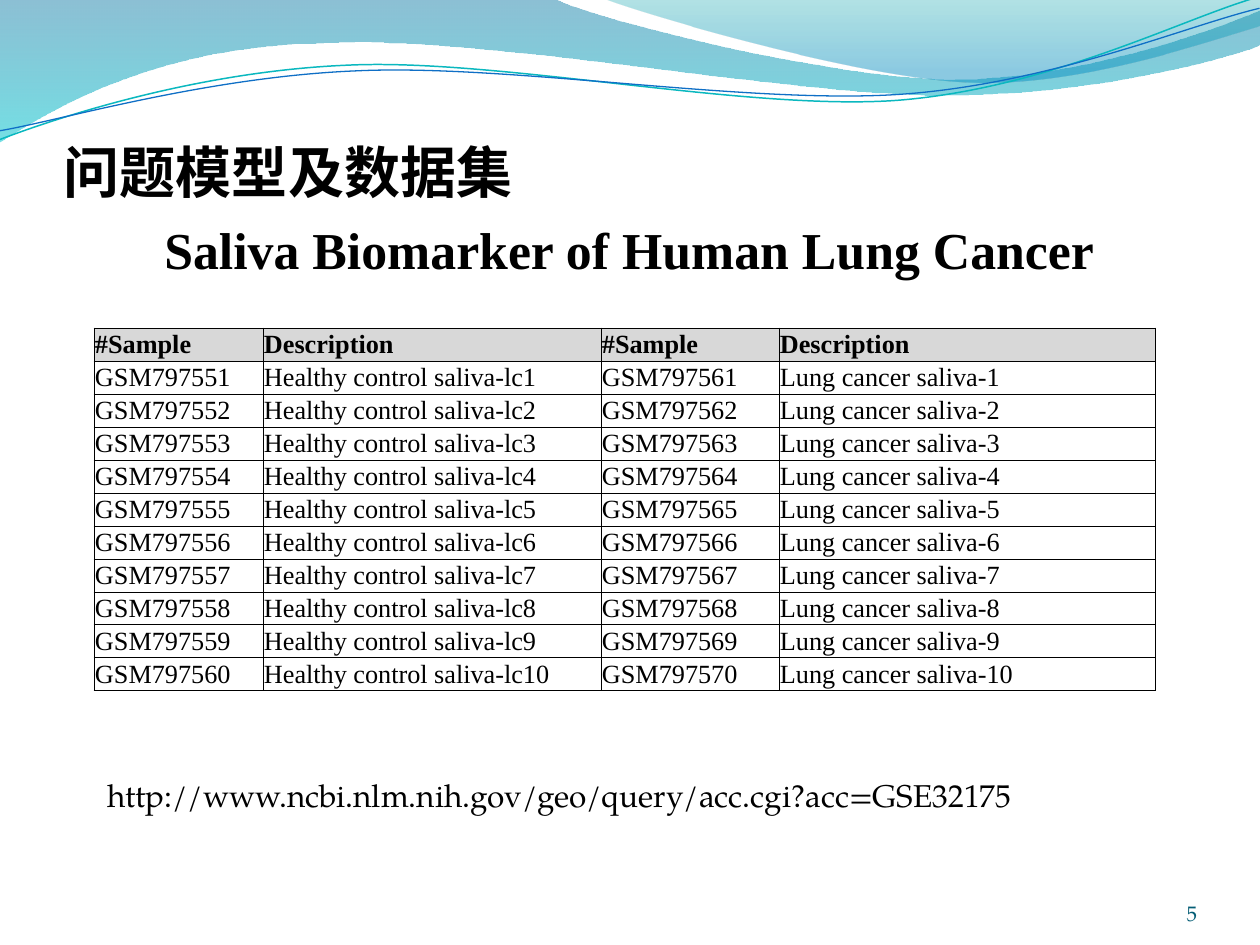
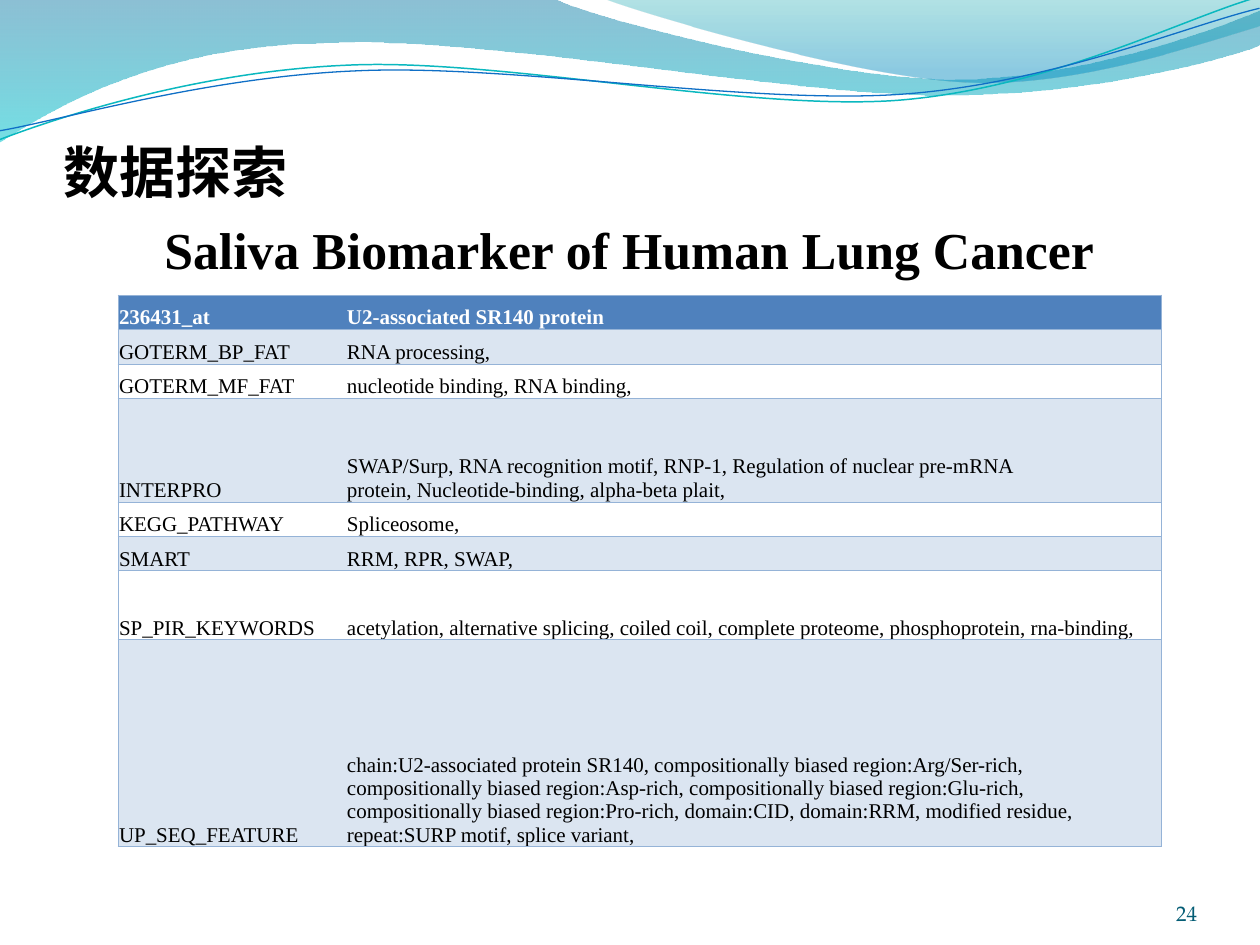
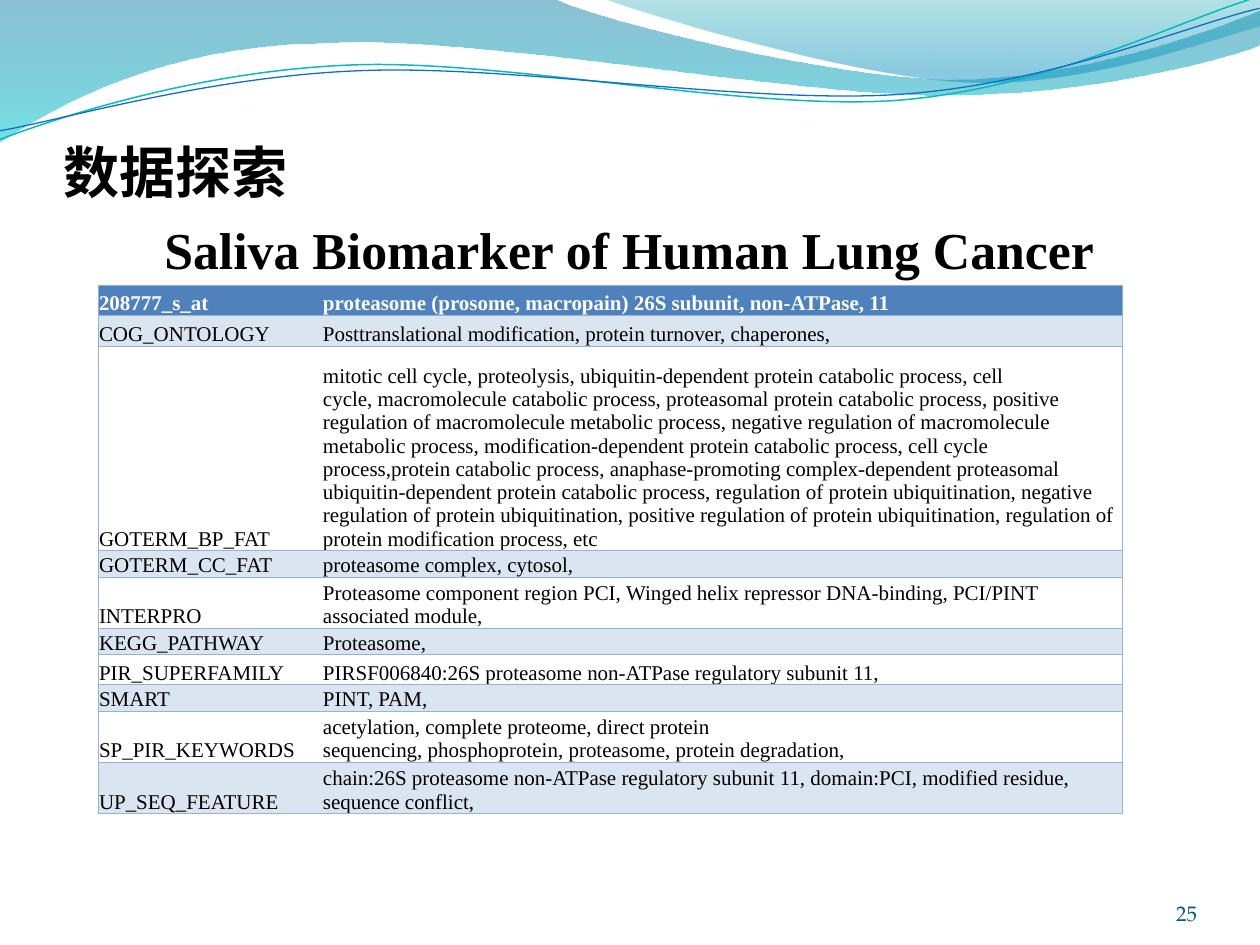
import pptx
import pptx.dml.color
import pptx.enum.text
import pptx.oxml
import pptx.oxml.ns
import pptx.util
from lxml import etree

EMU_PER_PX = 914400 / 126
WIDTH, HEIGHT = 1260, 945
SERIF, BODY = "Times New Roman", "TeX Gyre Pagella"
BLACK, WHITE, PAGE_COLOR = "000000", "FFFFFF", "045D75"
GRAY, BLUE, PALE_BLUE, BLUE_LINE = "D8D8D8", "4F81BD", "DBE5F1", "95B3D7"
ANCHOR = pptx.enum.text.MSO_ANCHOR
ALIGN = pptx.enum.text.PP_ALIGN
NBSP = chr(160)
LINE_TILT = 357.3

WAVES = [
    dict(start=(0, 0), grad=[(0, "0074A1", 45), (1, "00C6CF", 55)], parts=[
        [(554, -1)],
        [(600, 21), (837, 79), (955, 79)],
        [(1075, 79), (1207, 33), (1260, 11)],
        [(1261, 45)],
        [(1239, 55), (1096, 96), (940, 95)],
        [(784, 95), (481, 35), (324, 43)],
        [(163, 45), (58, 105), (-1, 142)]]),
    dict(start=(604, -1), grad=[(0, "00A1A9", 30), (0.8, "008BBF", 45)], parts=[
        [(641, 14), (859, 78), (969, 82)],
        [(1079, 87), (1211, 40), (1260, 26)],
        [(1260, 0)]]),
    dict(start=(-3, 110), line=("0AB8BF", 0.85), parts=[
        [(58, 90), (199, 51), (349, 52)],
        [(499, 52), (745, 117), (896, 113)],
        [(1049, 108), (1184, 45), (1260, 27)]]),
    dict(start=(-2, 101), line=("0F6FC6", 0.75), parts=[
        [(57, 94), (207, 57), (357, 58)],
        [(509, 58), (750, 111), (902, 107)],
        [(1052, 103), (1188, 52), (1262, 38)]]),
]


def px(n):
    return pptx.util.Emu(round(n * EMU_PER_PX))


def color(value):
    return pptx.dml.color.RGBColor.from_string(value)


def terms(*names):
    return ("," + NBSP).join(names)


def style(p, size, font, fg, bold=False):
    p.font.size = pptx.util.Pt(size)
    p.font.name = font
    p.font.bold = bold
    p.font.color.rgb = color(fg)


def add_text(s, box, text, size, font, fg, bold=False, align=ALIGN.LEFT,
             anchor=ANCHOR.BOTTOM, insets=(0, 6, 0, 0)):
    tf = s.shapes.add_textbox(*map(px, box)).text_frame
    tf.word_wrap = True
    tf.vertical_anchor = anchor
    tf.margin_left, tf.margin_top, tf.margin_right, tf.margin_bottom = map(px, insets)
    p = tf.paragraphs[0]
    p.text = text
    p.alignment = align
    style(p, size, font, fg, bold)


def curve_segments(sp, parts):
    segments = iter(list(sp._element.spPr.iter(pptx.oxml.ns.qn("a:lnTo"))))
    for part in parts:
        group = [next(segments) for _ in part]
        if len(group) == 3:
            curve = etree.Element(pptx.oxml.ns.qn("a:cubicBezTo"))
            group[0].addprevious(curve)
            for segment in group:
                curve.append(segment[0])
                segment.getparent().remove(segment)


def fill_gradient(sp, grad):
    sp.fill.gradient()
    sp.fill.gradient_angle = 270
    for stop, (position, value, _) in zip(sp.fill.gradient_stops, grad):
        stop.position = position
        stop.color.rgb = color(value)
    clrs = sp._element.spPr.iter(pptx.oxml.ns.qn("a:srgbClr"))
    for clr, (_, _, alpha) in zip(clrs, grad):
        etree.SubElement(clr, pptx.oxml.ns.qn("a:alpha"), val=str(alpha * 1000))


def add_waves(s):
    for wave in WAVES:
        x, y = wave["start"]
        builder = s.shapes.build_freeform(px(x), px(y), scale=1.0)
        points = [(px(x), px(y)) for part in wave["parts"] for x, y in part]
        builder.add_line_segments(points, close="grad" in wave)
        sp = builder.convert_to_shape()
        curve_segments(sp, wave["parts"])
        sp.shadow.inherit = False
        if "grad" in wave:
            fill_gradient(sp, wave["grad"])
            sp.line.fill.background()
        else:
            sp.rotation = LINE_TILT
            sp.fill.background()
            value, width = wave["line"]
            sp.line.color.rgb = color(value)
            sp.line.width = pptx.util.Pt(width)


def set_borders(cell, value, sides):
    tcPr = cell._tc.get_or_add_tcPr()
    for i, side in enumerate("LRTB"):
        ln = etree.Element(pptx.oxml.ns.qn("a:ln" + side), w="6350")
        if side in sides:
            fill = etree.SubElement(ln, pptx.oxml.ns.qn("a:solidFill"))
            etree.SubElement(fill, pptx.oxml.ns.qn("a:srgbClr"), val=value)
        else:
            etree.SubElement(ln, pptx.oxml.ns.qn("a:noFill"))
        tcPr.insert(i, ln)


def add_grid(s, left, top, cols, rows, data, size, anchor, header, band, line, inner):
    header_fill, header_fg = header
    table = s.shapes.add_table(len(rows), len(cols), px(left), px(top),
                               px(sum(cols)), px(sum(rows))).table
    table.first_row = table.horz_banding = False
    for column, width in zip(table.columns, cols):
        column.width = px(width)
    for i, (row, height, texts) in enumerate(zip(table.rows, rows, data)):
        row.height = px(height)
        fill = header_fill if i == 0 else band if i % 2 else None
        for j, (cell, text) in enumerate(zip(row.cells, texts)):
            cell.vertical_anchor = anchor
            cell.margin_left = cell.margin_top = cell.margin_right = px(1)
            cell.margin_bottom = 0
            p = cell.text_frame.paragraphs[0]
            p.text = text
            style(p, size, SERIF, BLACK if i else header_fg, i == 0)
            sides = "TB"
            if inner or j == 0:
                sides += "L"
            if inner or j == len(cols) - 1:
                sides += "R"
            set_borders(cell, line, sides)
            if fill:
                cell.fill.solid()
                cell.fill.fore_color.rgb = color(fill)
            else:
                cell.fill.background()


def add_frame(prs, title, number):
    s = prs.slides.add_slide(prs.slide_layouts[6])
    add_waves(s)
    add_text(s, (64, 98, 1134, 107), title, 32, SERIF, BLACK, True)
    add_text(s, (0, 214, WIDTH, 66), "Saliva Biomarker of Human Lung Cancer",
             29.6, SERIF, BLACK, True, ALIGN.CENTER)
    add_text(s, (1092, 876, 105, 50), str(number), 12, BODY, PAGE_COLOR,
             align=ALIGN.RIGHT, insets=(0, 0, 0, 0))
    return s


def sample_slide(prs):
    s = add_frame(prs, "问题模型及数据集", 5)
    add_text(s, (94, 770, 1052, 50), "http://www.ncbi.nlm.nih.gov/geo/query/acc.cgi?acc=GSE32175",
             18, BODY, BLACK, anchor=ANCHOR.TOP, insets=(13, 6, 13, 6))
    data = [("#Sample", "Description") * 2]
    data += [(f"GSM{797550 + n}", f"Healthy control saliva-lc{n}",
              f"GSM{797560 + n}", f"Lung cancer saliva-{n}") for n in range(1, 11)]
    add_grid(s, 94, 328, (169, 338, 178, 377), [33] * len(data), data, 15, ANCHOR.MIDDLE,
             (GRAY, BLACK), None, BLACK, True)


def probe_slide(prs, number, left, top, cols, rows, data):
    s = add_frame(prs, "数据探索", number)
    add_grid(s, left, top, cols, rows, data, 12, ANCHOR.BOTTOM,
             (BLUE, WHITE), PALE_BLUE, BLUE_LINE, False)


SR140 = [
    ("236431_at", "U2-associated SR140 protein"),
    ("GOTERM_BP_FAT", "RNA processing,"),
    ("GOTERM_MF_FAT", terms("nucleotide binding", "RNA binding,")),
    ("INTERPRO", terms("SWAP/Surp", "RNA recognition motif, RNP-1",
                       "Regulation of nuclear pre-mRNA protein",
                       "Nucleotide-binding, alpha-beta plait,")),
    ("KEGG_PATHWAY", "Spliceosome,"),
    ("SMART", terms("RRM", "RPR", "SWAP,")),
    ("SP_PIR_KEYWORDS", terms("acetylation", "alternative splicing", "coiled coil",
                              "complete proteome", "phosphoprotein", "rna-binding,")),
    ("UP_SEQ_FEATURE",
     "chain:U2-associated protein SR140, compositionally biased region:Arg/Ser-rich, "
     "compositionally biased region:Asp-rich, compositionally biased region:Glu-rich, "
     "compositionally biased region:Pro-rich, domain:CID, domain:RRM, modified residue, "
     "repeat:SURP motif, splice variant,"),
]

PROTEASOME = [
    ("208777_s_at", "proteasome (prosome, macropain) 26S subunit, non-ATPase, 11"),
    ("COG_ONTOLOGY", "Posttranslational modification, protein turnover, chaperones,"),
    ("GOTERM_BP_FAT", terms(
        "mitotic cell cycle", "proteolysis", "ubiquitin-dependent protein catabolic process",
        "cell cycle", "macromolecule catabolic process", "proteasomal protein catabolic process",
        "positive regulation of macromolecule metabolic process",
        "negative regulation of macromolecule metabolic process",
        "modification-dependent protein catabolic process",
        "cell cycle process,protein catabolic process",
        "anaphase-promoting complex-dependent proteasomal "
        "ubiquitin-dependent protein catabolic process",
        "regulation of protein ubiquitination", "negative regulation of protein ubiquitination",
        "positive regulation of protein ubiquitination",
        "regulation of protein modification process", "etc")),
    ("GOTERM_CC_FAT", terms("proteasome complex", "cytosol,")),
    ("INTERPRO", terms("Proteasome component region PCI", "Winged helix repressor DNA-binding",
                       "PCI/PINT associated module,")),
    ("KEGG_PATHWAY", "Proteasome,"),
    ("PIR_SUPERFAMILY", "PIRSF006840:26S proteasome non-ATPase regulatory subunit 11,"),
    ("SMART", terms("PINT", "PAM,")),
    ("SP_PIR_KEYWORDS", terms("acetylation", "complete proteome", "direct protein sequencing",
                              "phosphoprotein", "proteasome", "protein degradation,")),
    ("UP_SEQ_FEATURE", "chain:26S proteasome non-ATPase regulatory subunit 11, domain:PCI, "
                       "modified residue, sequence conflict,"),
]


def main():
    prs = pptx.Presentation()
    prs.slide_width, prs.slide_height = px(WIDTH), px(HEIGHT)
    sample_slide(prs)
    probe_slide(prs, 24, 118, 295, (228, 815), (34, 35, 34, 104, 34, 35, 69, 207), SR140)
    probe_slide(prs, 25, 98, 285, (224, 800), (30, 31, 205, 15, 30, 15, 30, 15, 45, 30), PROTEASOME)
    prs.save("out.pptx")


if __name__ == "__main__":
    main()
